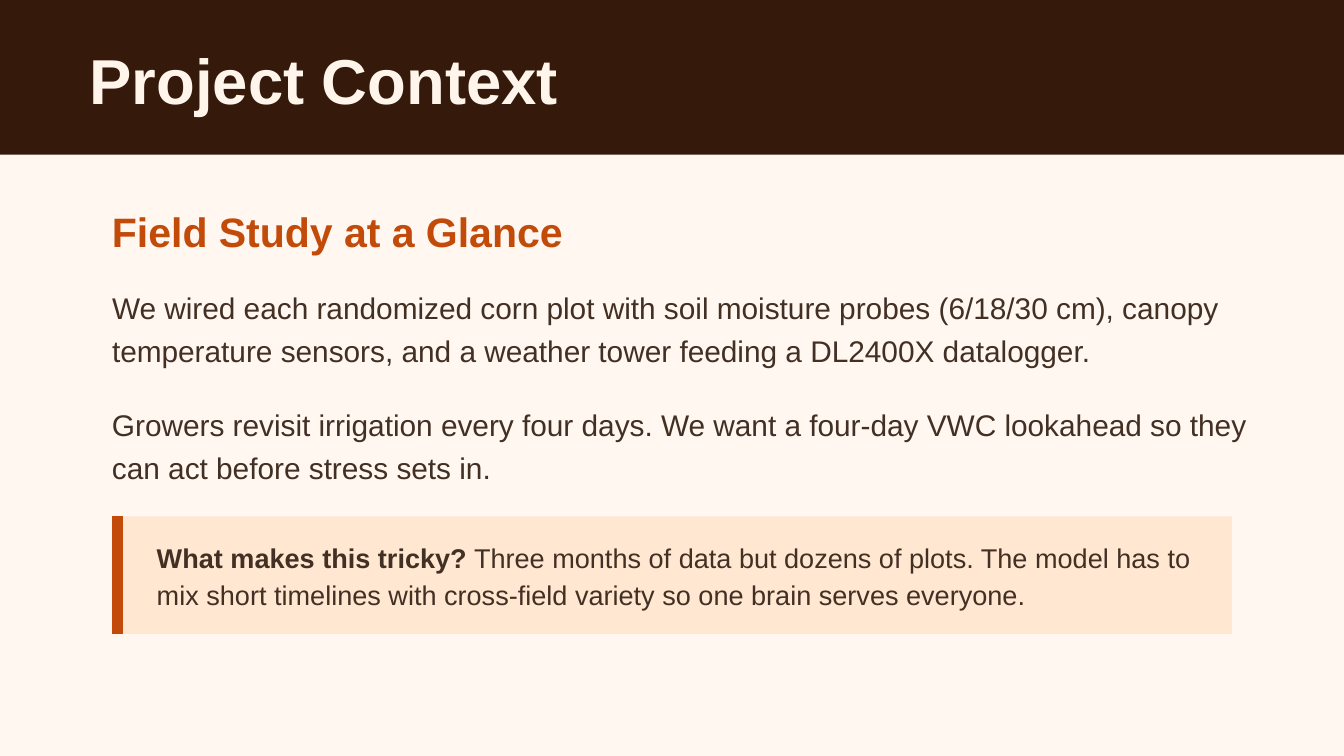
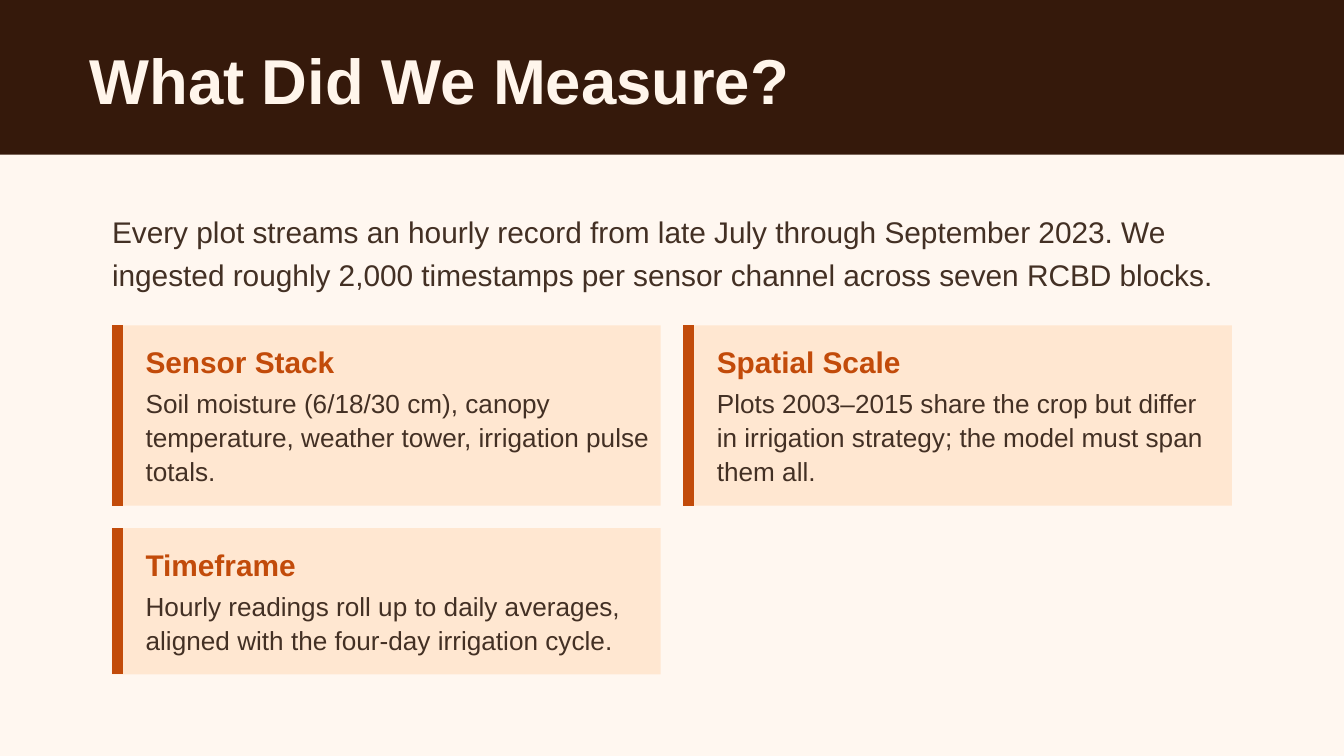
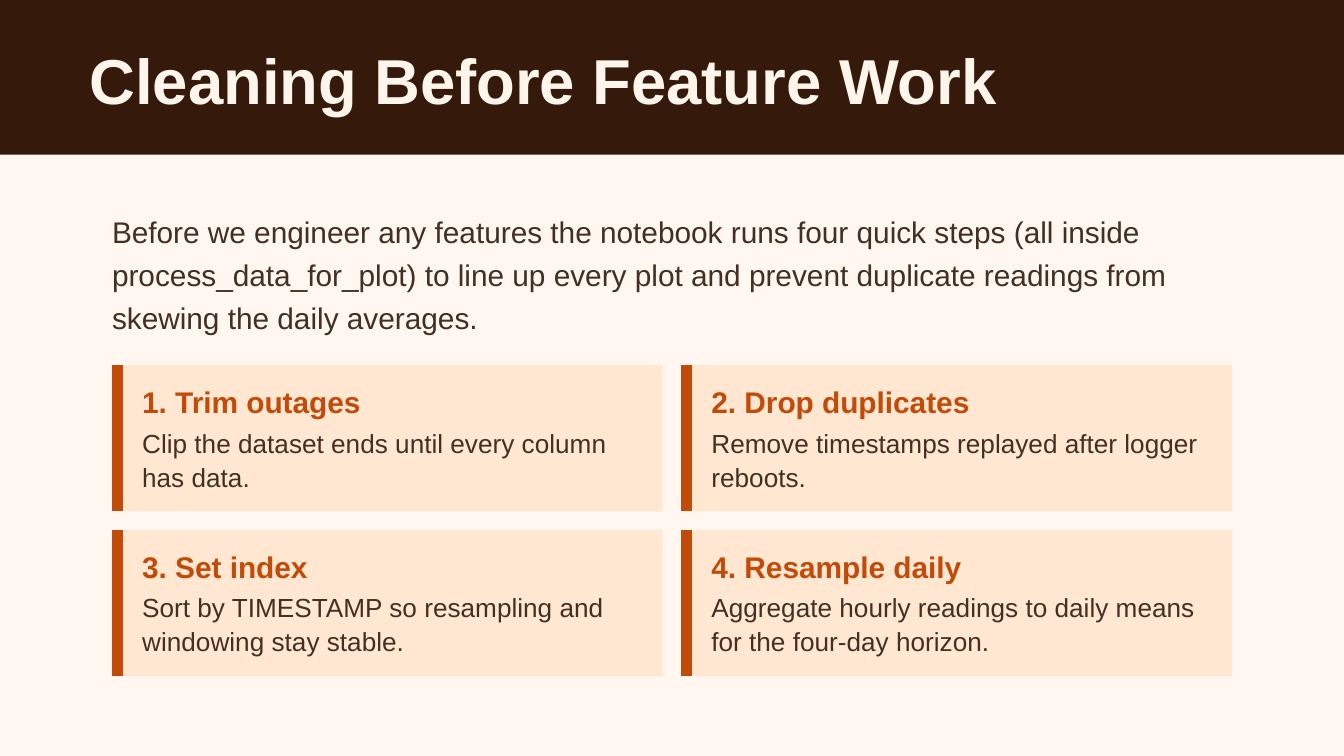
"""Build three slides on a corn irrigation field study."""
from dataclasses import dataclass

from lxml.etree import SubElement
from pptx import Presentation
from pptx.dml.color import RGBColor
from pptx.enum.shapes import MSO_CONNECTOR, MSO_SHAPE
from pptx.enum.text import MSO_ANCHOR, MSO_AUTO_SIZE, PP_ALIGN
from pptx.oxml.ns import qn
from pptx.util import Inches, Pt


@dataclass(frozen=True)
class Theme:
    """Colours, type sizes and leadings in points."""
    font: str = "Arial"
    page: str = "FFF7F0"
    band: str = "35190B"
    title: str = "FFF5EB"
    accent: str = "C24B0A"
    ink: str = "433024"
    panel: str = "FFE7D1"
    title_size: float = 34
    heading_size: float = 22
    prose_size: float = 16
    callout_size: float = 14.5
    detail_size: float = 14
    prose_leading: float = 23.2
    callout_leading: float = 19.6
    detail_leading: float = 18.2
    accent_width: float = 6


class Deck:
    """Holds the theme and the current slide on a grid of 120 columns and 67.5 rows."""
    COLUMNS, ROWS = 120, 67.5
    POINTS_PER_ROW = 6
    LEFT, SPAN, TEXT_SPAN = 10, 100, 102
    TOP = 18.4

    def __init__(self, theme):
        """Start an empty widescreen presentation."""
        self.theme = theme
        self.presentation = Presentation()
        self.presentation.slide_width = Inches(10)
        self.presentation.slide_height = Inches(5.625)
        self.tint(self.presentation.slide_master.background, theme.page)

    def tint(self, target, color):
        """Give a shape or background a solid colour."""
        target.fill.solid()
        target.fill.fore_color.rgb = RGBColor.from_string(color)

    def box(self, left, top, width, height):
        """Turn columns and rows into lengths."""
        across = self.presentation.slide_width / self.COLUMNS
        down = self.presentation.slide_height / self.ROWS
        return [round(n) for n in (left * across, top * down, width * across, height * down)]

    def place(self, holder, bounds):
        """Move a placeholder to its bounds."""
        holder.left, holder.top, holder.width, holder.height = bounds
        return holder

    def set_text(self, holder, words, size, color, bold=False, leading=None, rest=""):
        """Set one paragraph and its formatting, with an optional plain ending."""
        frame = holder.text_frame
        frame.text = words
        frame.word_wrap = True
        frame.auto_size = MSO_AUTO_SIZE.NONE
        frame.vertical_anchor = MSO_ANCHOR.TOP
        frame.margin_left = frame.margin_top = frame.margin_right = frame.margin_bottom = 0
        paragraph = frame.paragraphs[0]
        paragraph.alignment = PP_ALIGN.LEFT
        paragraph.space_before = Pt(0)
        if leading:
            paragraph.line_spacing = Pt(leading)
        if rest:
            paragraph.add_run().text = rest
        for position, run in enumerate(paragraph.runs):
            run.font.name = self.theme.font
            run.font.size = Pt(size)
            run.font.bold = bold and position == 0
            run.font.color.rgb = RGBColor.from_string(color)
        return paragraph

    def textbox(self, *bounds):
        """Add an empty text box."""
        return self.slide.shapes.add_textbox(*self.box(*bounds))

    def rectangle(self, color, *bounds):
        """Add a flat rectangle."""
        area = self.slide.shapes.add_shape(MSO_SHAPE.RECTANGLE, *self.box(*bounds))
        self.tint(area, color)
        area.line.fill.background()
        area.shadow.inherit = False
        return area

    def new_slide(self, title):
        """Start a slide with its title band."""
        self.slide = self.presentation.slides.add_slide(self.presentation.slide_layouts[1])
        band = self.rectangle(self.theme.band, 0, 0, self.COLUMNS, 13.8)
        self.slide.shapes.element.insert(2, band.element)
        headline = self.place(self.slide.shapes.title, self.box(8, 3.7, 106, 6.5))
        self.set_text(headline, title, self.theme.title_size, self.theme.title, bold=True)

    def heading(self, words):
        """Add the section heading."""
        holder = self.textbox(self.LEFT, self.TOP, self.TEXT_SPAN, 4.2)
        self.set_text(holder, words, self.theme.heading_size, self.theme.accent, bold=True)

    def prose(self, holder, words):
        """Set running text."""
        return self.set_text(holder, words, self.theme.prose_size, self.theme.ink,
                             leading=self.theme.prose_leading)

    def prose_bounds(self, top, lines):
        """Give the bounds of a number of lines of running text."""
        height = lines * self.theme.prose_leading / self.POINTS_PER_ROW
        return self.LEFT, top, self.TEXT_SPAN, height

    def lead(self, words, lines, top=TOP):
        """Set the lead text in the body placeholder, without a bullet."""
        body = self.place(self.slide.placeholders[1], self.box(*self.prose_bounds(top, lines)))
        properties = self.prose(body, words)._p.get_or_add_pPr()
        properties.set("marL", "0")
        properties.set("indent", "0")
        SubElement(properties, qn("a:buNone"))

    def follow_up(self, words, lines, top):
        """Add a further passage of running text."""
        self.prose(self.textbox(*self.prose_bounds(top, lines)), words)

    def panel(self, left, top, width, height):
        """Add a tinted panel with an accent line along its left edge."""
        self.rectangle(self.theme.panel, left, top, width, height)
        x, start, _, drop = self.box(left + 0.5, top, 0, height)
        edge = self.slide.shapes.add_connector(MSO_CONNECTOR.STRAIGHT, x, start, x, start + drop)
        edge.line.width = Pt(self.theme.accent_width)
        edge.line.color.rgb = RGBColor.from_string(self.theme.accent)
        SubElement(edge.element.spPr, qn("a:effectLst"))

    def callout(self, question, answer, top):
        """Add a full-width panel that opens with a bold question."""
        self.panel(self.LEFT, top, self.SPAN, 10.5)
        self.set_text(self.textbox(self.LEFT + 4, top + 1.9, 95, 6.5), question,
                      self.theme.callout_size, self.theme.ink, bold=True,
                      leading=self.theme.callout_leading, rest=answer)

    def card(self, name, detail, lines, left, top, width, height, inset):
        """Add a panel with a name and a detail below it."""
        self.panel(left, top, width, height)
        text_left, text_width = left + inset, width - inset - 1
        self.set_text(self.textbox(text_left, top + 1.65, text_width, 3.1), name,
                      self.theme.prose_size, self.theme.accent, bold=True)
        detail_height = lines * self.theme.detail_leading / self.POINTS_PER_ROW
        self.set_text(self.textbox(text_left, top + 5.3, text_width, detail_height), detail,
                      self.theme.detail_size, self.theme.ink, leading=self.theme.detail_leading)

    def cards(self, rows, top, gap, inset):
        """Lay out rows of cards in two columns, each row as tall as its lines need."""
        width = (self.SPAN - gap) / 2
        for lines, entries in rows:
            height = 7 + lines * self.theme.detail_leading / self.POINTS_PER_ROW
            for column, (name, detail) in enumerate(entries):
                left = self.LEFT + column * (width + gap)
                self.card(name, detail, lines, left, top, width, height, inset)
            top += height + gap


def main():
    """Build the slides and save them."""
    deck = Deck(Theme())

    deck.new_slide("Project Context")
    deck.heading("Field Study at a Glance")
    deck.lead("We wired each randomized corn plot with soil moisture probes (6/18/30 cm), canopy "
              "temperature sensors, and a weather tower feeding a DL2400X datalogger.",
              lines=2, top=25.2)
    deck.follow_up("Growers revisit irrigation every four days. We want a four-day VWC lookahead "
                   "so they can act before stress sets in.", lines=2, top=35.65)
    deck.callout("What makes this tricky?",
                 " Three months of data but dozens of plots. The model has to mix short timelines "
                 "with cross-field variety so one brain serves everyone.", top=46.1)

    deck.new_slide("What Did We Measure?")
    deck.lead("Every plot streams an hourly record from late July through September 2023. We "
              "ingested roughly 2,000 timestamps per sensor channel across seven RCBD blocks.",
              lines=2)
    deck.cards([
        (3, [("Sensor Stack", "Soil moisture (6/18/30 cm), canopy temperature, weather tower, "
                              "irrigation pulse totals."),
             ("Spatial Scale", "Plots 2003–2015 share the crop but differ in irrigation strategy; "
                               "the model must span them all.")]),
        (2, [("Timeframe", "Hourly readings roll up to daily averages, aligned with the four-day "
                           "irrigation cycle.")]),
    ], top=29.05, gap=2, inset=3)

    deck.new_slide("Cleaning Before Feature Work")
    deck.lead("Before we engineer any features the notebook runs four quick steps (all inside "
              "process_data_for_plot) to line up every plot and prevent duplicate readings from "
              "skewing the daily averages.", lines=3)
    deck.cards([
        (2, [("1. Trim outages", "Clip the dataset ends until every column has data."),
             ("2. Drop duplicates", "Remove timestamps replayed after logger reboots.")]),
        (2, [("3. Set index", "Sort by TIMESTAMP so resampling and windowing stay stable."),
             ("4. Resample daily", "Aggregate hourly readings to daily means for the four-day "
                                   "horizon.")]),
    ], top=32.6, gap=1.65, inset=2.7)

    deck.presentation.save("out.pptx")


if __name__ == "__main__":
    main()
